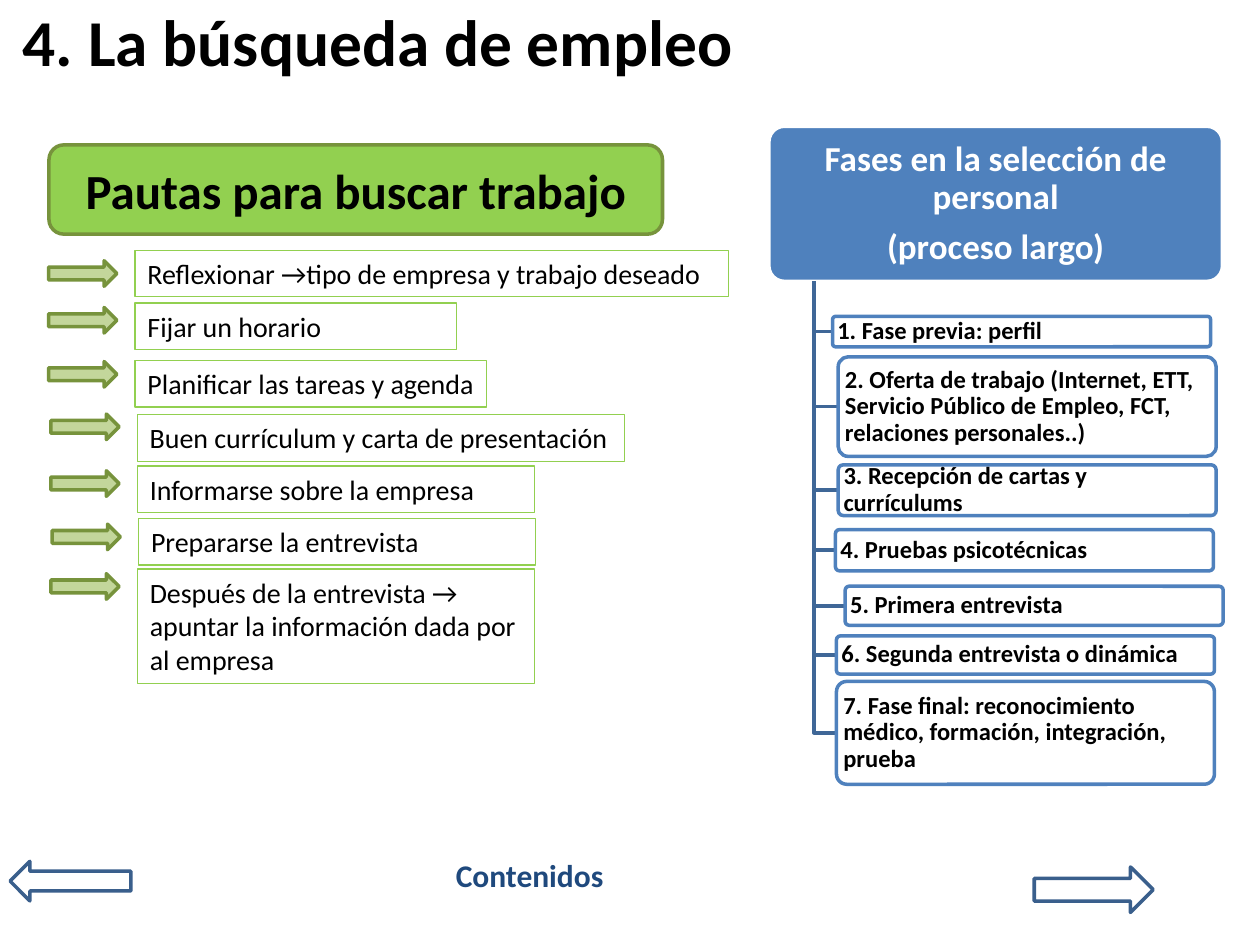
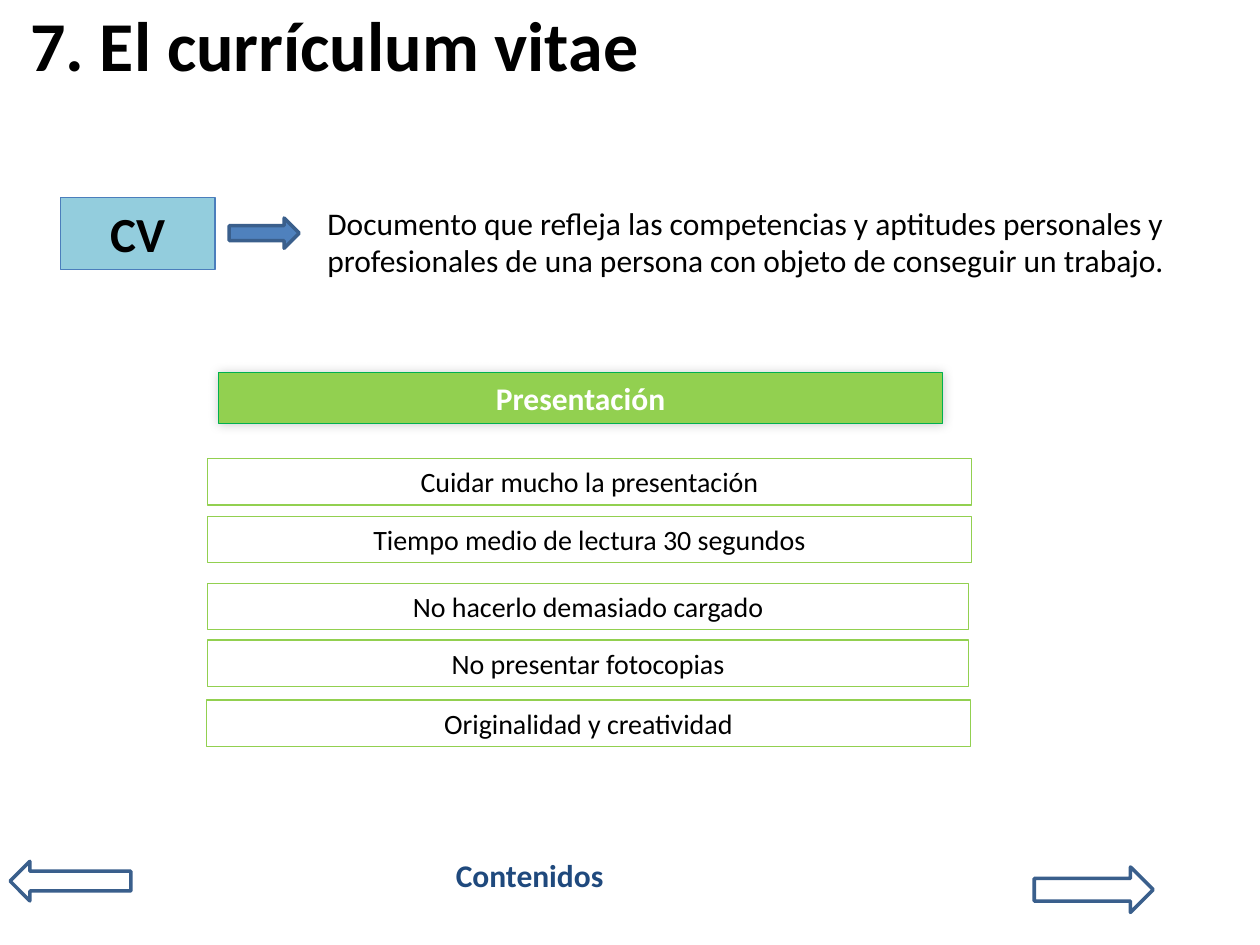
from dataclasses import dataclass
from typing import Optional

from lxml import etree
from pptx import Presentation
from pptx.dml.color import RGBColor
from pptx.enum import shapes, text
from pptx.oxml import ns
from pptx.util import Pt

FONT = "Calibri"
COLORS = {
    "black": "000000",
    "white": "FFFFFF",
    "navy": "1F497D",
    "blue": "4F81BD",
    "blue edge": "3A5F8C",
    "branch": "3F6797",
    "sky": "93CDDD",
    "sky edge": "4B7EBC",
    "green": "92D050",
    "olive": "77933C",
    "pale green": "C3D69B",
    "emerald": "00B050",
}
GEOMETRY = shapes.MSO_SHAPE
LEFT, CENTER = text.PP_ALIGN.LEFT, text.PP_ALIGN.CENTER
TOP, MIDDLE = text.MSO_ANCHOR.TOP, text.MSO_ANCHOR.MIDDLE
TITLE_ONLY = 5
TRUNK_X, TRUNK_TOP = 465.2, 160.8
PHASE_WIDTH = 216


@dataclass(frozen=True)
class Area:
    left: float
    top: float
    width: float
    height: float

    def lengths(self) -> tuple:
        return Pt(self.left), Pt(self.top), Pt(self.width), Pt(self.height)


@dataclass(frozen=True)
class Look:
    fill: Optional[str]
    line: str
    weight: float = 2


@dataclass(frozen=True)
class Lettering:
    size: float
    color: str = "black"
    bold: bool = False
    align: int = LEFT
    anchor: int = TOP
    inset_x: float = 7.2
    inset_y: float = 3.6
    line_spacing: float = 1.0
    gap: float = 0


@dataclass(frozen=True)
class Guideline:
    wording: str
    area: Area
    arrow_top: float


@dataclass(frozen=True)
class Phase:
    wording: str
    left: float
    top: float
    height: float


NAVIGATION = Look(None, "blue edge")
STEP_ARROW = Look("pale green", "olive")
OUTLINED = Look(None, "green", 0.75)
PHASE_LOOK = Look("white", "blue")

BODY = Lettering(16)
CENTERED_BODY = Lettering(16, align=CENTER)
PHASE_TEXT = Lettering(14, bold=True, anchor=MIDDLE, inset_x=2.2, inset_y=1.4,
                       line_spacing=0.9)
PHASES_HEADING = Lettering(20, "white", True, CENTER, MIDDLE, 3, 2, 0.9, 7)

GUIDELINES = [
    Guideline("Reflexionar →tipo de empresa y trabajo deseado",
              Area(77.2, 143.1, 339.3, 26.6), 149),
    Guideline("Fijar un horario", Area(77.2, 173.2, 183.6, 26.6), 175.7),
    Guideline("Planificar las tareas y agenda", Area(77.2, 206, 201, 26.6), 206.6),
    Guideline("Buen currículum y carta de presentación",
              Area(78.5, 237, 278.6, 26.6), 236.6),
    Guideline("Informarse sobre la empresa", Area(78.5, 266.3, 226.8, 26.6), 269),
    Guideline("Prepararse la entrevista", Area(79.2, 296.4, 226.8, 26.6), 299.5),
    Guideline("Después de la entrevista → apuntar la información dada por al empresa",
              Area(78.5, 325.2, 226.8, 65.5), 327.8),
]

PHASES = [
    Phase("1. Fase previa: perfil", 475.8, 180.8, 17.4),
    Phase("2. Oferta de trabajo (Internet, ETT, Servicio Público de Empleo, FCT, "
          "relaciones personales..)", 479, 203.9, 56.9),
    Phase("3. Recepción de cartas y currículums", 479, 265.6, 29),
    Phase("4. Pruebas psicotécnicas", 477.4, 302.6, 23.6),
    Phase("5. Primera entrevista", 483, 335, 22.3),
    Phase("6. Segunda entrevista o dinámica", 478, 363.4, 21.8),
    Phase("7. Fase final: reconocimiento médico, formación, integración, prueba",
          478, 389.4, 58.8),
]

PRESENTATION_TIPS = [
    ("Cuidar mucho la presentación", Area(118.6, 262.1, 436.5, 26.6)),
    ("Tiempo medio de lectura 30 segundos", Area(118.6, 295, 436.5, 26.6)),
    ("No hacerlo demasiado cargado", Area(118.6, 333.3, 435, 26.6)),
    ("No presentar fotocopias", Area(118.6, 365.8, 435, 26.6)),
    ("Originalidad y creatividad", Area(118, 400, 436.5, 26.6)),
]


def rgb(name: str) -> RGBColor:
    return RGBColor.from_string(COLORS[name])


def write(target, paragraphs: list[str], style: Lettering) -> None:
    frame = target.text_frame
    frame.word_wrap = True
    frame.auto_size = text.MSO_AUTO_SIZE.NONE
    frame.vertical_anchor = style.anchor
    frame.margin_left = frame.margin_right = Pt(style.inset_x)
    frame.margin_top = frame.margin_bottom = Pt(style.inset_y)
    for index, wording in enumerate(paragraphs):
        paragraph = frame.add_paragraph() if index else frame.paragraphs[0]
        paragraph.alignment = style.align
        paragraph.line_spacing = style.line_spacing
        paragraph.space_before = Pt(style.gap if index else 0)
        run = paragraph.add_run()
        run.text = wording
        run.font.name = FONT
        run.font.size = Pt(style.size)
        run.font.bold = style.bold
        run.font.color.rgb = rgb(style.color)


def paint(target, look: Look) -> None:
    target.shadow.inherit = False
    if look.fill:
        target.fill.solid()
        target.fill.fore_color.rgb = rgb(look.fill)
    else:
        target.fill.background()
    target.line.color.rgb = rgb(look.line)
    target.line.width = Pt(look.weight)


def draw(slide, geometry, area: Area, look: Look,
         paragraphs: Optional[list[str]] = None, style: Lettering = BODY):
    drawn = slide.shapes.add_shape(geometry, *area.lengths())
    paint(drawn, look)
    if paragraphs:
        write(drawn, paragraphs, style)
    return drawn


def add_label(slide, area: Area, wording: str, style: Lettering) -> None:
    write(slide.shapes.add_textbox(*area.lengths()), [wording], style)


def add_soft_shadow(target) -> None:
    effects = target.element.spPr.find(ns.qn("a:effectLst"))
    shadow = etree.SubElement(effects, ns.qn("a:outerShdw"), blurRad=str(Pt(6)),
                              dist="0", dir=str(225 * 60000), rotWithShape="0")
    color = etree.SubElement(shadow, ns.qn("a:srgbClr"), val=COLORS["black"])
    etree.SubElement(color, ns.qn("a:alpha"), val="20000")


def start_slide(deck, title: str, area: Area, size: float):
    """Add a slide with its title and the navigation footer."""
    slide = deck.slides.add_slide(deck.slide_layouts[TITLE_ONLY])
    heading = slide.shapes.title
    heading.left, heading.top, heading.width, heading.height = area.lengths()
    write(heading, [title], Lettering(size, bold=True, anchor=MIDDLE))
    add_label(slide, Area(253.4, 485.6, 103.7, 29), "Contenidos",
              Lettering(18, "navy", True))
    draw(slide, GEOMETRY.LEFT_ARROW, Area(5.8, 492.2, 69, 22.6), NAVIGATION)
    draw(slide, GEOMETRY.RIGHT_ARROW, Area(591, 495.4, 68, 26), NAVIGATION)
    return slide


def add_phase(slide, phase: Phase) -> None:
    middle = phase.top + phase.height / 2
    outline = slide.shapes.build_freeform(Pt(TRUNK_X), Pt(TRUNK_TOP))
    outline.add_line_segments([(Pt(TRUNK_X), Pt(middle)), (Pt(phase.left), Pt(middle))],
                              close=False)
    paint(outline.convert_to_shape(), Look(None, "branch"))
    box = draw(slide, GEOMETRY.ROUNDED_RECTANGLE,
               Area(phase.left, phase.top, PHASE_WIDTH, phase.height),
               PHASE_LOOK, [phase.wording], PHASE_TEXT)
    box.adjustments[0] = 0.1


def build_job_search(deck) -> None:
    slide = start_slide(deck, "4. La búsqueda de empleo", Area(5.8, 0.7, 648, 45), 37.4)
    draw(slide, GEOMETRY.FLOWCHART_ALTERNATE_PROCESS, Area(28, 82.8, 350.6, 51),
         Look("green", "olive"), ["Pautas para buscar trabajo"],
         Lettering(28, bold=True, align=CENTER, anchor=MIDDLE))
    for guideline in GUIDELINES:
        draw(slide, GEOMETRY.RECTANGLE, guideline.area, OUTLINED, [guideline.wording])
        draw(slide, GEOMETRY.RIGHT_ARROW,
             Area(guideline.area.left - 49.4, guideline.arrow_top, 39, 14.6), STEP_ARROW)

    heading = draw(slide, GEOMETRY.ROUNDED_RECTANGLE, Area(439.4, 72.2, 259.2, 88.6),
                   Look("blue", "white"),
                   ["Fases en la selección de personal", "(proceso largo)"],
                   PHASES_HEADING)
    heading.adjustments[0] = 0.1
    for phase in PHASES:
        add_phase(slide, phase)


def build_curriculum(deck) -> None:
    slide = start_slide(deck, "7. El currículum vitae", Area(10, 2.2, 678, 45), 40)
    draw(slide, GEOMETRY.RECTANGLE, Area(34.4, 112.8, 88.4, 41.2),
         Look("sky", "sky edge", 0.75), ["CV"],
         Lettering(28, bold=True, align=CENTER))
    draw(slide, GEOMETRY.RIGHT_ARROW, Area(131, 124.6, 40, 17.3),
         Look("blue", "blue edge"))
    add_label(slide, Area(180, 112.8, 495.4, 51),
              "Documento que refleja las competencias y aptitudes personales y "
              "profesionales de una persona con objeto de conseguir un trabajo.",
              Lettering(18))
    banner = draw(slide, GEOMETRY.RECTANGLE, Area(125, 213, 413.5, 29),
                  Look("green", "emerald", 0.75), ["Presentación"],
                  Lettering(18, "white", True, CENTER))
    add_soft_shadow(banner)
    for tip, area in PRESENTATION_TIPS:
        draw(slide, GEOMETRY.RECTANGLE, area, OUTLINED, [tip], CENTERED_BODY)


def main() -> None:
    deck = Presentation()
    deck.slide_width, deck.slide_height = Pt(720), Pt(540)
    build_job_search(deck)
    build_curriculum(deck)
    deck.save("out.pptx")


if __name__ == "__main__":
    main()
